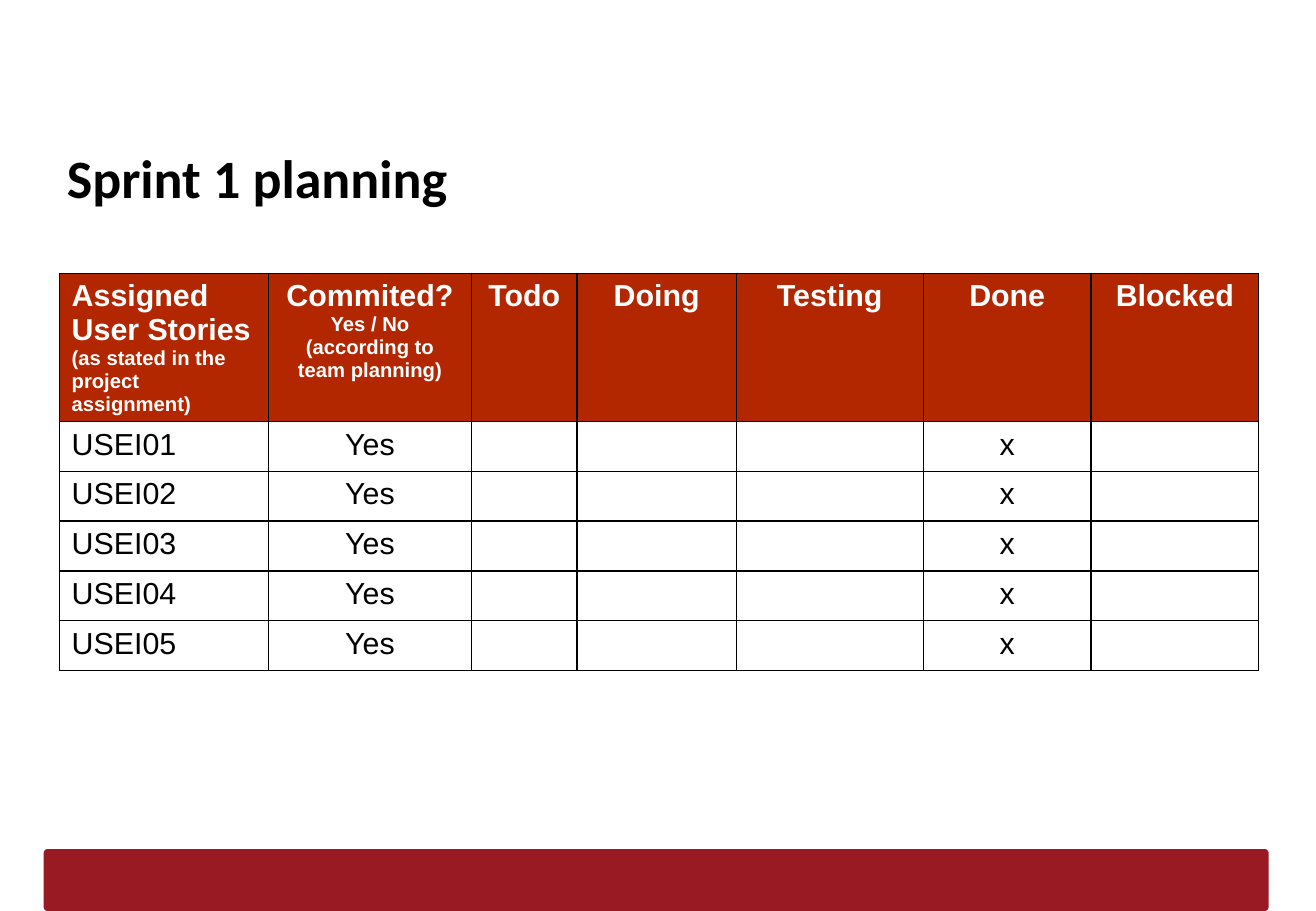
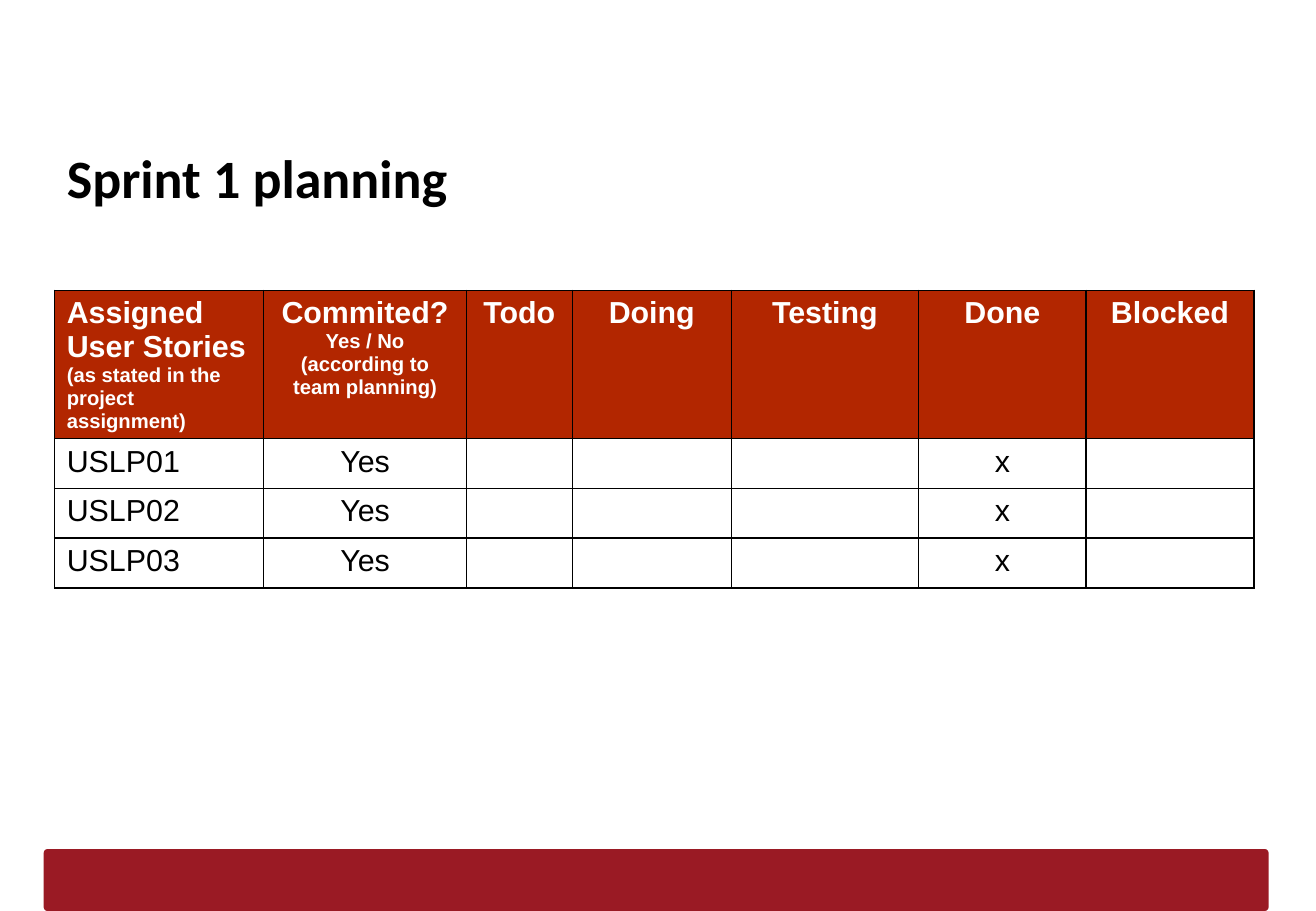
from pptx import Presentation
from pptx.dml.color import RGBColor
from pptx.enum.shapes import MSO_SHAPE
from pptx.enum.text import MSO_ANCHOR, PP_ALIGN
from pptx.oxml.ns import qn
from pptx.util import Inches, Pt
from lxml import etree

ROUNDED = MSO_SHAPE.ROUNDED_RECTANGLE
TOP = MSO_ANCHOR.TOP
LEFT, CENTER = PP_ALIGN.LEFT, PP_ALIGN.CENTER

BLACK, WHITE = "000000", "FFFFFF"
BAND_RED, HEADER_RED = "9A1A24", "B22600"
TITLE_ONLY = 5

COLUMN_WIDTHS = [1.72, 1.67, 0.87, 1.31, 1.54, 1.38, 1.38]
HEADER_HEIGHT, ROW_HEIGHT = 1.22, 0.41
HEADERS = [
    [[("Assigned User Stories ", 18), ("(as stated in the project assignment)", 12)]],
    [[("Commited?", 18)], [("Yes / No (according to team planning)", 12)]],
] + [[[(name, 18)]] for name in ("Todo", "Doing", "Testing", "Done", "Blocked")]


def color(value):
    return RGBColor.from_string(value)


def write_text(frame, paragraphs, font="Arial", fill=BLACK, bold=False, align=LEFT):
    for index, runs in enumerate(paragraphs):
        paragraph = frame.paragraphs[0] if index == 0 else frame.add_paragraph()
        paragraph.alignment = align
        for text, size in runs:
            run = paragraph.add_run()
            run.text = text
            run.font.name = font
            run.font.size = Pt(size)
            run.font.bold = bold
            run.font.color.rgb = color(fill)


def add_band(slide):
    band = slide.shapes.add_shape(ROUNDED, Inches(0.36), Inches(6.99), Inches(10.08), Inches(0.51))
    band.adjustments[0] = 0.06
    band.shadow.inherit = False
    band.fill.solid()
    band.fill.fore_color.rgb = color(BAND_RED)
    band.line.fill.background()
    return band


def share_band(slide):
    band = add_band(slide)
    slide.slide_layout.shapes.element.insert(2, band.element)


def set_title(slide, text):
    title = slide.shapes.title
    title.left, title.top = Inches(0.45), Inches(1.09)
    title.width, title.height = Inches(10.08), Inches(0.63)
    frame = title.text_frame
    frame.margin_left = frame.margin_right = Inches(0.1)
    frame.margin_top = frame.margin_bottom = Inches(0.1)
    frame.vertical_anchor = TOP
    write_text(frame, [[(text, 32)]], font="Calibri", bold=True)


def set_borders(cell):
    properties = cell._tc.get_or_add_tcPr()
    for position, side in enumerate(("a:lnL", "a:lnR", "a:lnT", "a:lnB")):
        line = etree.Element(qn(side), w=str(Pt(1)))
        fill = etree.SubElement(line, qn("a:solidFill"))
        etree.SubElement(fill, qn("a:srgbClr"), val=BLACK)
        properties.insert(position, line)


def add_planning_table(slide, left, top, stories):
    rows = [[[[(text, 18)]] if text else [] for text in (story, "Yes", "", "", "", "x", "")]
            for story in stories]
    height = HEADER_HEIGHT + ROW_HEIGHT * len(rows)
    table = slide.shapes.add_table(
        len(rows) + 1, len(COLUMN_WIDTHS), Inches(left), Inches(top),
        Inches(sum(COLUMN_WIDTHS)), Inches(height)).table
    table.horz_banding = False
    for column, width in zip(table.columns, COLUMN_WIDTHS):
        column.width = Inches(width)
    for row_index, contents in enumerate([HEADERS] + rows):
        is_header = row_index == 0
        table.rows[row_index].height = Inches(HEADER_HEIGHT if is_header else ROW_HEIGHT)
        for column_index, paragraphs in enumerate(contents):
            cell = table.cell(row_index, column_index)
            cell.fill.solid()
            cell.fill.fore_color.rgb = color(HEADER_RED if is_header else WHITE)
            set_borders(cell)
            write_text(cell.text_frame, paragraphs, fill=WHITE if is_header else BLACK,
                       bold=is_header, align=CENTER if column_index else LEFT)


def main():
    presentation = Presentation()
    presentation.slide_width, presentation.slide_height = Inches(10.83), Inches(7.5)
    layout = presentation.slide_layouts[TITLE_ONLY]
    plans = [("USEI", 5, 0.49, 2.25), ("USLP", 3, 0.45, 2.39)]
    for index, (prefix, count, left, top) in enumerate(plans):
        slide = presentation.slides.add_slide(layout)
        if index == 0:
            share_band(slide)
        set_title(slide, "Sprint 1 planning")
        stories = [f"{prefix}{number:02d}" for number in range(1, count + 1)]
        add_planning_table(slide, left, top, stories)
    presentation.save("out.pptx")


if __name__ == "__main__":
    main()
